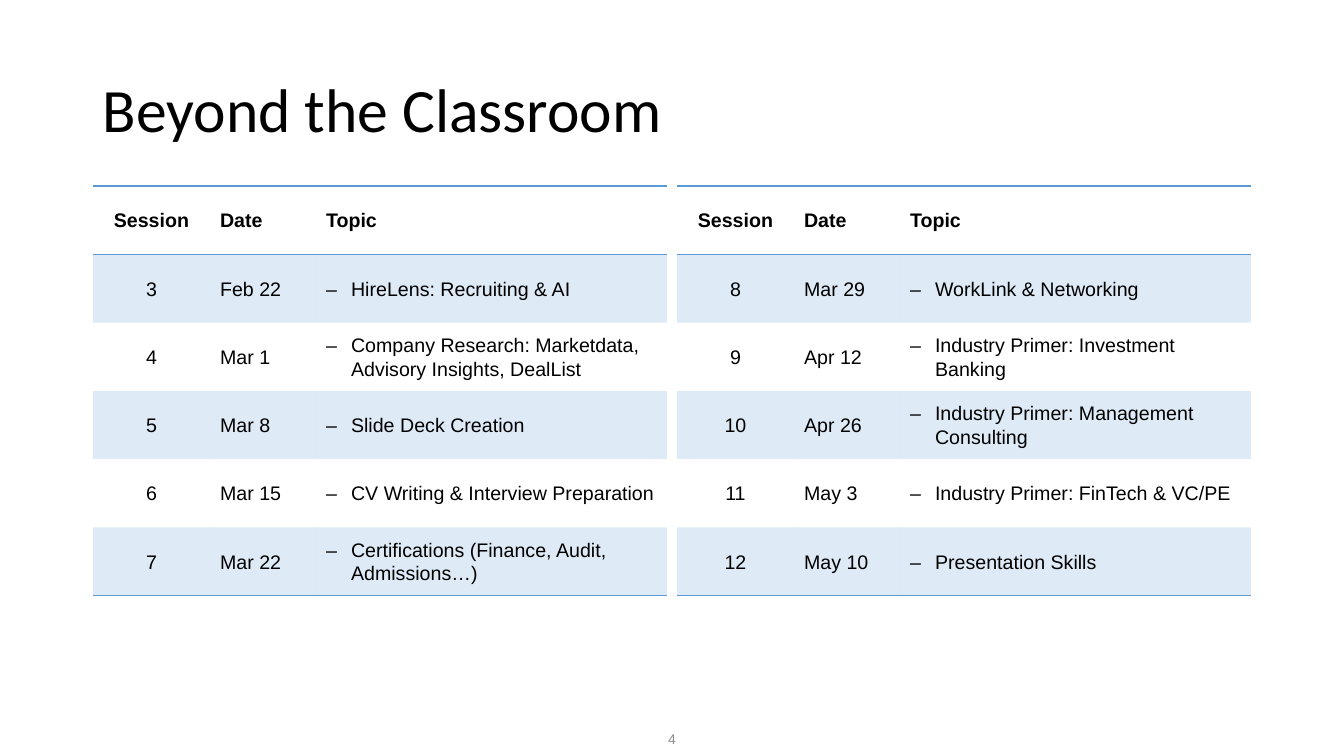
from dataclasses import dataclass

from lxml import etree
from pptx import Presentation
from pptx.dml.color import RGBColor as RGB
from pptx.enum.text import MSO_ANCHOR as ANCHOR, PP_ALIGN as ALIGN
from pptx.oxml.ns import qn
from pptx.util import Emu, Pt


@dataclass(frozen=True)
class Theme:
    ink: RGB = RGB(0x00, 0x00, 0x00)
    muted: RGB = RGB(0x8C, 0x8C, 0x8C)
    accent: RGB = RGB(0x5B, 0x9B, 0xD5)
    band_alpha: int = 20000
    title_font: str = "Calibri"
    body_font: str = "Arial"
    title_size: int = 44
    table_size: int = 14
    number_size: int = 10


theme = Theme()
NO_GRID_STYLE = "{2D5ABB26-0587-4C30-8999-92F81FD0307C}"
TOP, HEIGHT = 186, 410
COLUMNS = (117, 106, 351)
HEADER = ("Session", "Date", "Topic")
SCHEDULES = (
    (93, (
        ("3", "Feb 22", "HireLens: Recruiting & AI"),
        ("4", "Mar 1", "Company Research: Marketdata, Advisory Insights, DealList"),
        ("5", "Mar 8", "Slide Deck Creation"),
        ("6", "Mar 15", "CV Writing & Interview Preparation"),
        ("7", "Mar 22", "Certifications (Finance, Audit, Admissions…)"),
    )),
    (677, (
        ("8", "Mar 29", "WorkLink & Networking"),
        ("9", "Apr 12", "Industry Primer: Investment Banking"),
        ("10", "Apr 26", "Industry Primer: Management Consulting"),
        ("11", "May 3", "Industry Primer: FinTech & VC/PE"),
        ("12", "May 10", "Presentation Skills"),
    )),
)


def px(count):
    return Emu(round(count * 914400 / 100.8))


def write(paragraph, text, font, size, color, bold=False):
    run = paragraph.add_run()
    run.text = text
    run.font.name = font
    run.font.size = Pt(size)
    run.font.color.rgb = color
    run.font.bold = bold


prs = Presentation()
prs.slide_width, prs.slide_height = px(1344), px(756)
slide = prs.slides.add_slide(prs.slide_layouts[6])

# Page number and title
for box, text, font, size, color, align, spacing, bottom in (
    ((521, 716, 302, 40), "4", theme.body_font, theme.number_size,
     theme.muted, ALIGN.CENTER, 1.0, 0),
    ((93, 40, 1159, 146), "Beyond the Classroom", theme.title_font,
     theme.title_size, theme.ink, ALIGN.LEFT, 0.9, 5),
):
    frame = slide.shapes.add_textbox(*map(px, box)).text_frame
    frame.word_wrap = True
    frame.vertical_anchor = ANCHOR.MIDDLE
    frame.margin_bottom = px(bottom)
    line = frame.paragraphs[0]
    line.alignment = align
    line.line_spacing = spacing
    write(line, text, font, size, color)

# Session schedules
for left, sessions in SCHEDULES:
    rows = (HEADER, *sessions)
    last = len(rows) - 1
    schedule = slide.shapes.add_table(
        len(rows), len(COLUMNS), px(left), px(TOP), px(sum(COLUMNS)), px(HEIGHT)).table
    schedule.first_row = schedule.horz_banding = False
    schedule._tbl.tblPr.find(qn("a:tableStyleId")).text = NO_GRID_STYLE
    for column, width in zip(schedule.columns, COLUMNS):
        column.width = px(width)

    for r, row in enumerate(rows):
        schedule.rows[r].height = px(HEIGHT / len(rows))
        edges = {0: ("a:lnT", "a:lnB"), last: ("a:lnB",)}.get(r, ())
        for c, text in enumerate(row):
            cell = schedule.cell(r, c)
            cell.vertical_anchor = ANCHOR.MIDDLE
            for edge in edges:
                border = etree.SubElement(cell._tc.get_or_add_tcPr(), qn(edge), w=str(Pt(1)))
                paint = etree.SubElement(border, qn("a:solidFill"))
                etree.SubElement(paint, qn("a:srgbClr"), val=str(theme.accent))

            if r % 2:
                cell.fill.solid()
                cell.fill.fore_color.rgb = theme.accent
                tint = cell._tc.tcPr.find(f"{qn('a:solidFill')}/{qn('a:srgbClr')}")
                etree.SubElement(tint, qn("a:alpha"), val=str(theme.band_alpha))
            else:
                cell.fill.background()

            entry = cell.text_frame.paragraphs[0]
            entry.alignment = ALIGN.CENTER if c == 0 else ALIGN.LEFT
            entry.line_spacing = 1.07
            if r and c == 2:
                props = entry._p.get_or_add_pPr()
                props.set("marL", str(px(25)))
                props.set("indent", str(-px(25)))
                etree.SubElement(props, qn("a:buFont"), typeface=theme.body_font)
                etree.SubElement(props, qn("a:buChar"), char="–")
            write(entry, text, theme.body_font, theme.table_size, theme.ink, bold=r == 0)

prs.save("out.pptx")
